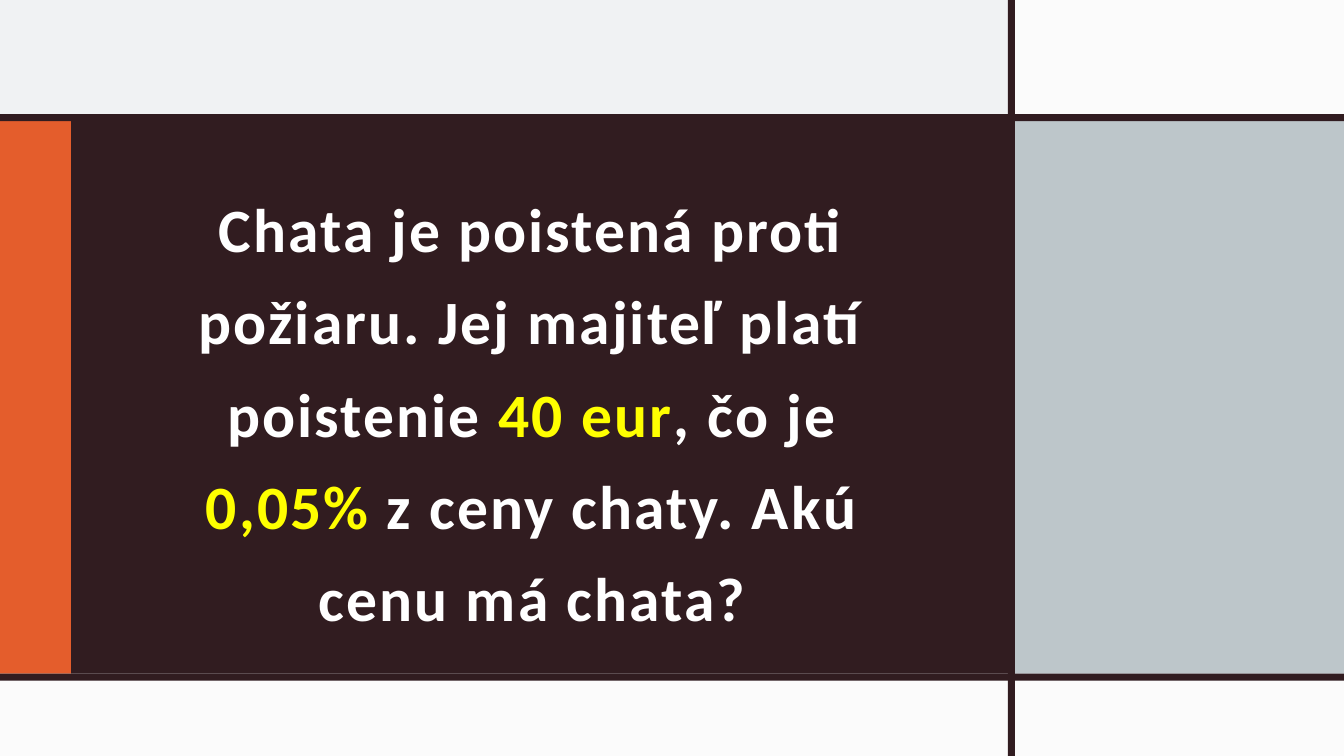
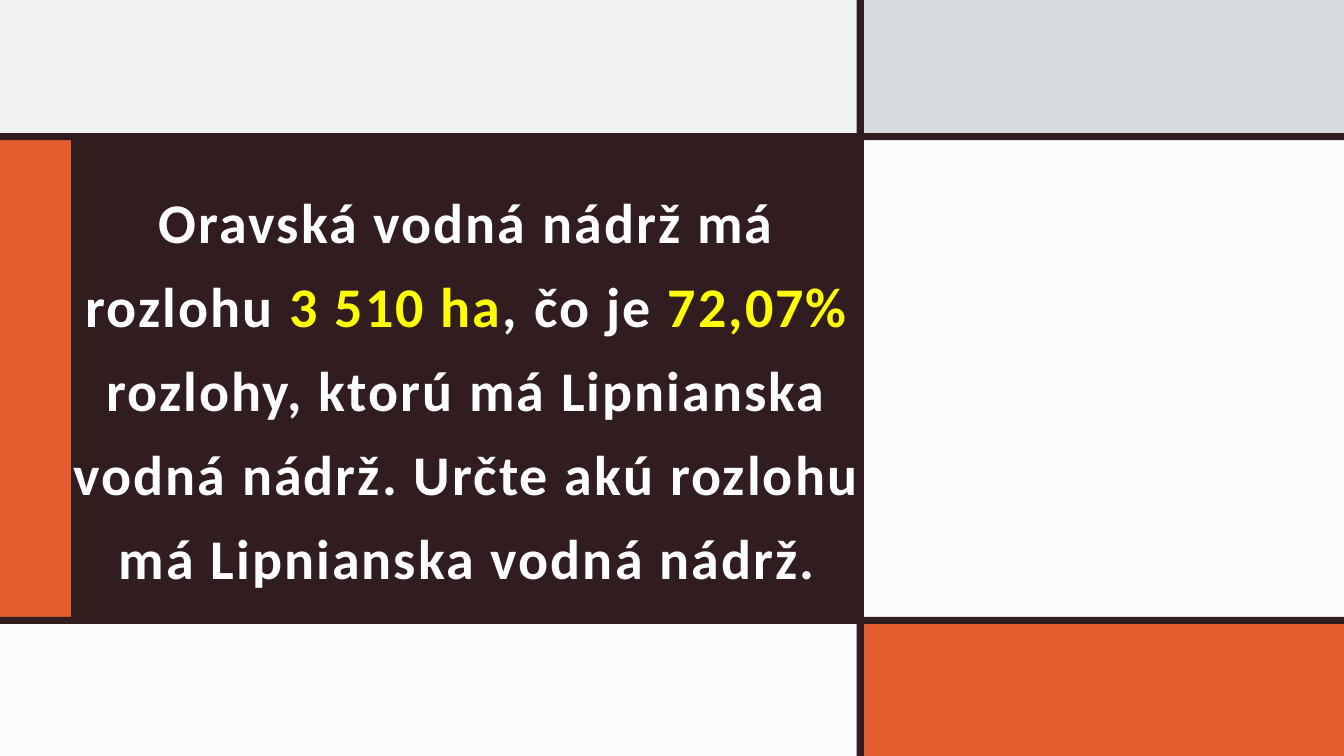
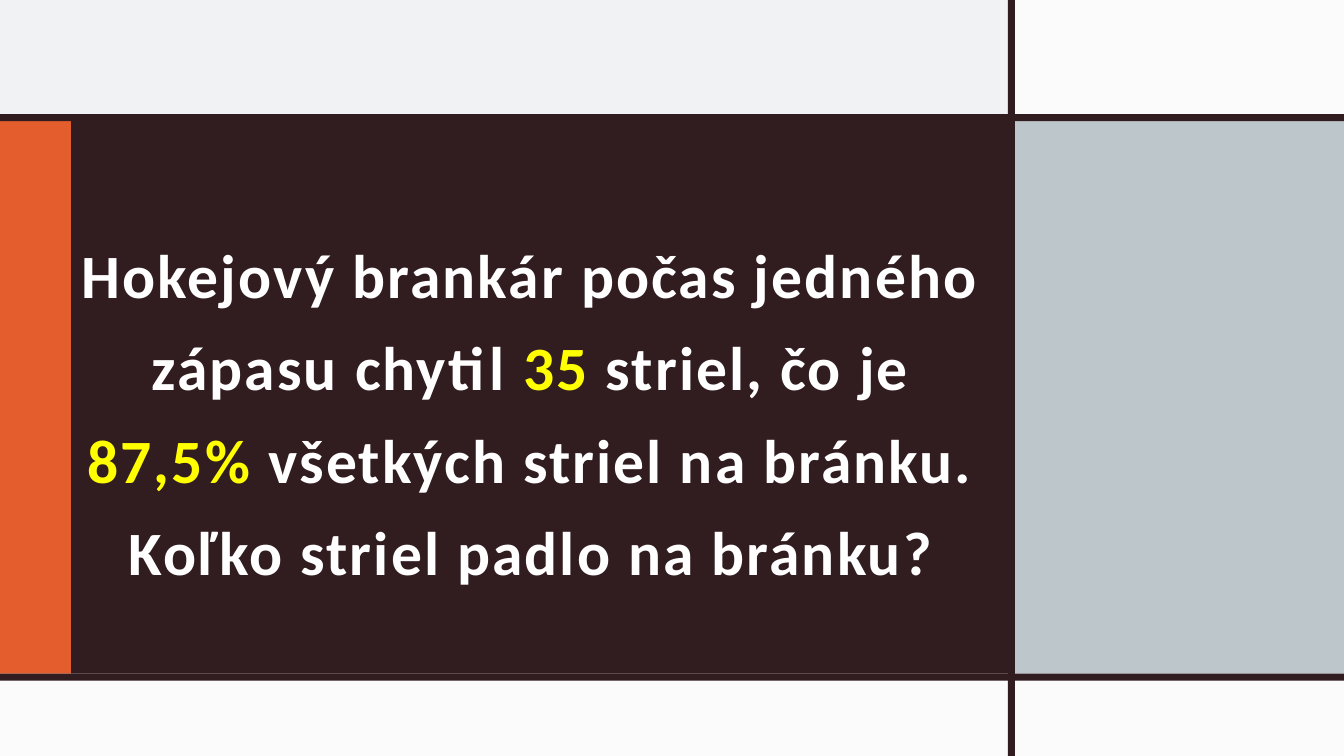
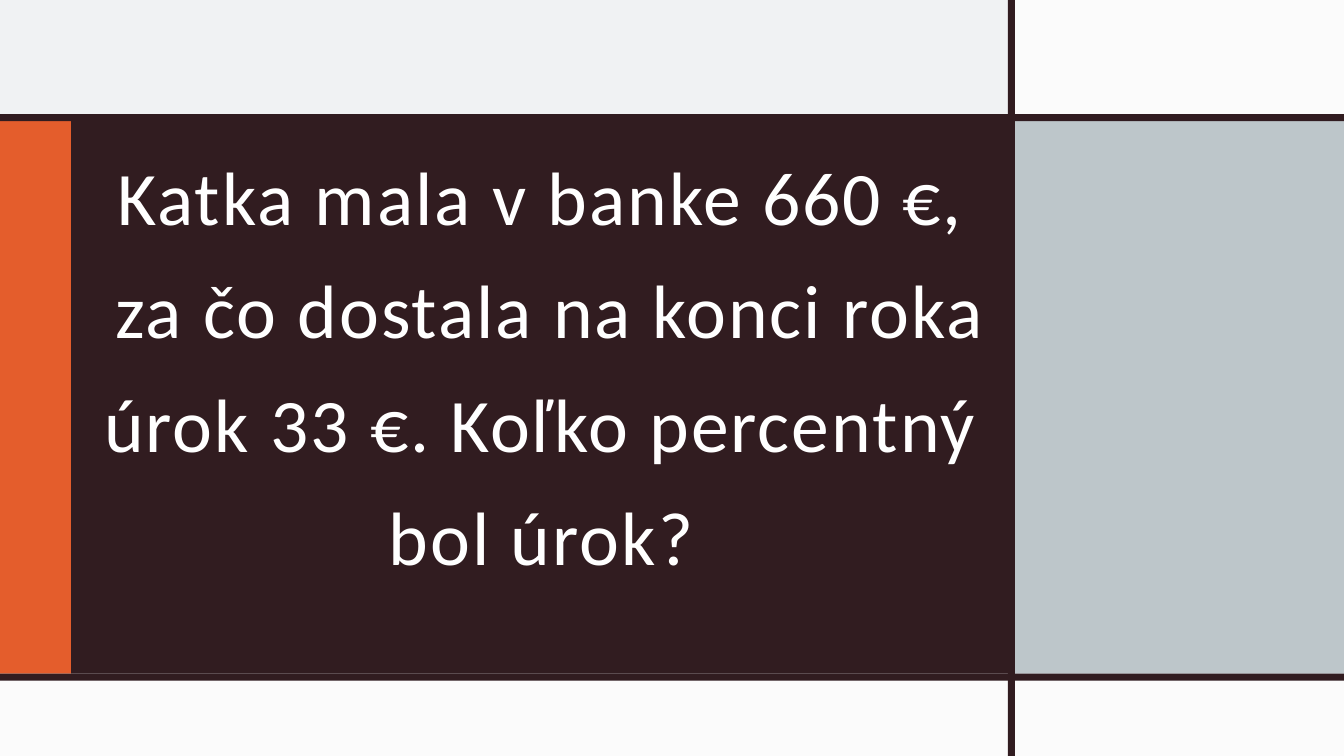
from dataclasses import dataclass

from lxml import etree
from pptx import Presentation
from pptx.dml.color import RGBColor
from pptx.enum.shapes import MSO_SHAPE
from pptx.enum.text import MSO_ANCHOR, MSO_AUTO_SIZE, PP_ALIGN
from pptx.oxml.ns import qn
from pptx.util import Emu, Inches, Pt

RECTANGLE = MSO_SHAPE.RECTANGLE
CENTER = PP_ALIGN.CENTER
BOTTOM, MIDDLE = MSO_ANCHOR.BOTTOM, MSO_ANCHOR.MIDDLE
NO_AUTOFIT = MSO_AUTO_SIZE.NONE
TITLE_ONLY = 5

SLIDE_WIDTH, SLIDE_HEIGHT = Inches(13.333), Inches(7.5)
BAR = Inches(0.07)
INSET, INSET_BOTTOM = Inches(0.12), Inches(0.1)


@dataclass(frozen=True)
class Fill:
    color: str
    opacity: int = 100


@dataclass(frozen=True)
class Theme:
    paper: Fill = Fill("F0F2F3")
    dark: Fill = Fill("311C20")
    accent: Fill = Fill("E45D2C")
    mist: Fill = Fill("D5DBDE")
    veil: Fill = Fill("FFFFFF", 75)
    steel: Fill = Fill("ADB8BD", 75)
    text: str = "FFFFFF"
    highlight: str = "FFFF00"
    font: str = "Calibri"
    small: int = 40
    medium: int = 44
    large: int = 54
    letter_spacing: int = 150  # hundredths of a point
    line_spacing: float = 1.25


THEME = Theme()


@dataclass(frozen=True)
class Lattice:
    """Bar positions in percent of the slide, and the fills between the bars."""
    column: float
    upper: float
    lower: float
    top_right: Fill
    middle_right: Fill
    bottom_left: Fill
    bottom_right: Fill
    accent_width: float = 5.3


@dataclass(frozen=True)
class Frame:
    """A box in percent of the slide."""
    left: float
    top: float
    width: float
    height: float


@dataclass(frozen=True)
class Problem:
    """A task; every second piece of its text is highlighted."""
    pieces: tuple[str, ...]
    frame: Frame
    size: int
    lattice: Lattice
    bold: bool = True
    anchor: MSO_ANCHOR = BOTTOM


WIDE = Lattice(75, 15.1, 89.1, THEME.veil, THEME.steel, THEME.veil, THEME.veil)
NARROW = Lattice(63.75, 17.6, 81.6, THEME.mist, THEME.veil, THEME.veil, THEME.accent)

PROBLEMS = (
    Problem(
        ("Chata je poistená proti požiaru. Jej majiteľ platí poistenie ", "40 eur",
         ", čo je ", "0,05%", " z ceny chaty. Akú cenu má chata?"),
        Frame(9.4, 20, 60.45, 65.2), THEME.medium, WIDE),
    Problem(
        ("Oravská vodná nádrž má rozlohu ", "3 510 ha", ", čo je ", "72,07%",
         " rozlohy, ktorú má Lipnianska vodná nádrž. "
         "Určte akú rozlohu má Lipnianska vodná nádrž."),
        Frame(4.35, 12, 60.83, 76.4), THEME.small, NARROW, anchor=MIDDLE),
    Problem(
        ("Hokejový brankár počas jedného zápasu chytil ", "35", " striel, čo je ",
         "87,5% ", "všetkých striel na bránku. Koľko striel padlo na bránku?"),
        Frame(4.95, 12.4, 69.15, 66.67), THEME.medium, WIDE),
    Problem(
        ("Katka mala v banke 660 €,\n za čo dostala na konci roka úrok 33 €. "
         "Koľko percentný bol úrok?",),
        Frame(2.93, 18.67, 74.7, 59.47), THEME.large, WIDE, bold=False),
)


def across(percent: float) -> Emu:
    return Emu(round(SLIDE_WIDTH * percent / 100))


def down(percent: float) -> Emu:
    return Emu(round(SLIDE_HEIGHT * percent / 100))


def add_panel(slide, left: int, top: int, right: int, bottom: int, fill: Fill) -> None:
    """Draw a borderless rectangle between the given edges."""
    shape = slide.shapes.add_shape(RECTANGLE, left, top, right - left, bottom - top)
    shape.shadow.inherit = False
    shape.line.fill.background()
    shape.fill.solid()
    shape.fill.fore_color.rgb = RGBColor.from_string(fill.color)
    if fill.opacity < 100:
        color = shape.element.spPr.find(f"{qn('a:solidFill')}/{qn('a:srgbClr')}")
        etree.SubElement(color, qn("a:alpha")).set("val", str(fill.opacity * 1000))


def draw_lattice(slide, lattice: Lattice) -> None:
    column, accent = across(lattice.column), across(lattice.accent_width)
    upper, lower = down(lattice.upper), down(lattice.lower)
    right, middle, bottom = column + BAR, upper + BAR, lower + BAR

    # Coloured cells
    for cell in (
        (right, 0, SLIDE_WIDTH, upper, lattice.top_right),
        (0, middle, accent, lower, THEME.accent),
        (accent, middle, column, lower, THEME.dark),
        (right, middle, SLIDE_WIDTH, lower, lattice.middle_right),
        (0, bottom, column, SLIDE_HEIGHT, lattice.bottom_left),
        (right, bottom, SLIDE_WIDTH, SLIDE_HEIGHT, lattice.bottom_right),
    ):
        add_panel(slide, *cell)

    # Bars between the cells
    add_panel(slide, column, 0, right, SLIDE_HEIGHT, THEME.dark)
    for bar_top in (upper, lower):
        add_panel(slide, 0, bar_top, SLIDE_WIDTH, bar_top + BAR, THEME.dark)


def write_title(slide, problem: Problem) -> None:
    title, frame = slide.shapes.title, problem.frame
    title.left, title.top = across(frame.left), down(frame.top)
    title.width, title.height = across(frame.width), down(frame.height)
    title.element.getparent().append(title.element)  # in front of the cells

    text_frame = title.text_frame
    text_frame.word_wrap = True
    text_frame.auto_size = NO_AUTOFIT
    text_frame.vertical_anchor = problem.anchor
    text_frame.margin_left = text_frame.margin_right = text_frame.margin_top = INSET
    text_frame.margin_bottom = INSET_BOTTOM

    paragraph = text_frame.paragraphs[0]
    paragraph.alignment = CENTER
    paragraph.line_spacing = THEME.line_spacing
    for index, piece in enumerate(problem.pieces):
        color = THEME.highlight if index % 2 else THEME.text
        for line_number, line in enumerate(piece.split("\n")):
            if line_number:
                paragraph.add_line_break()
            run = paragraph.add_run()
            run.text = line
            run.font.name = THEME.font
            run.font.size = Pt(problem.size)
            run.font.bold = problem.bold
            run.font.color.rgb = RGBColor.from_string(color)
    for properties in title.element.iter(qn("a:rPr")):
        properties.set("spc", str(THEME.letter_spacing))


def main() -> None:
    presentation = Presentation()
    presentation.slide_width, presentation.slide_height = SLIDE_WIDTH, SLIDE_HEIGHT
    background = presentation.slide_master.background.fill
    background.solid()
    background.fore_color.rgb = RGBColor.from_string(THEME.paper.color)
    for problem in PROBLEMS:
        slide = presentation.slides.add_slide(presentation.slide_layouts[TITLE_ONLY])
        draw_lattice(slide, problem.lattice)
        write_title(slide, problem)
    presentation.save("out.pptx")


if __name__ == "__main__":
    main()
